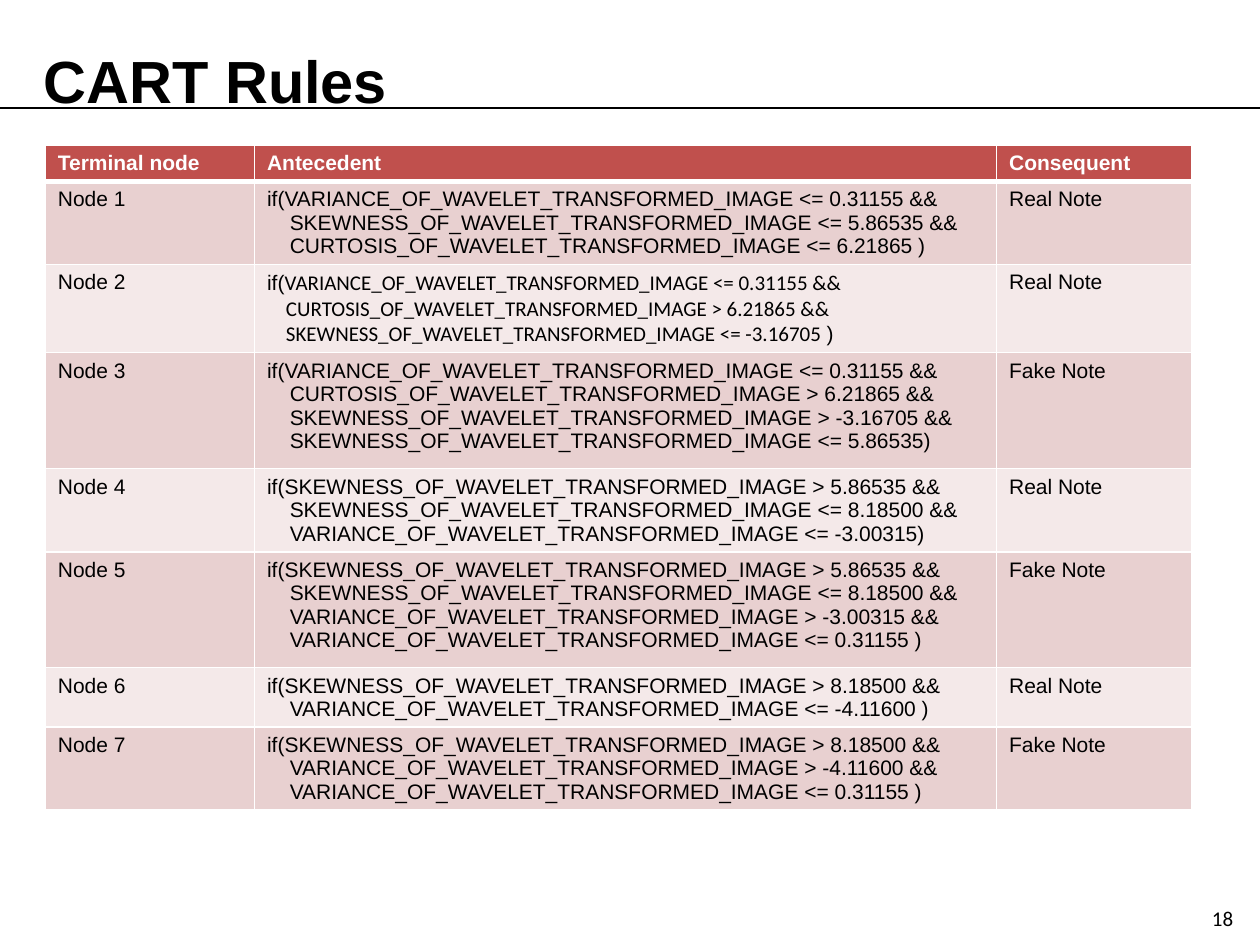
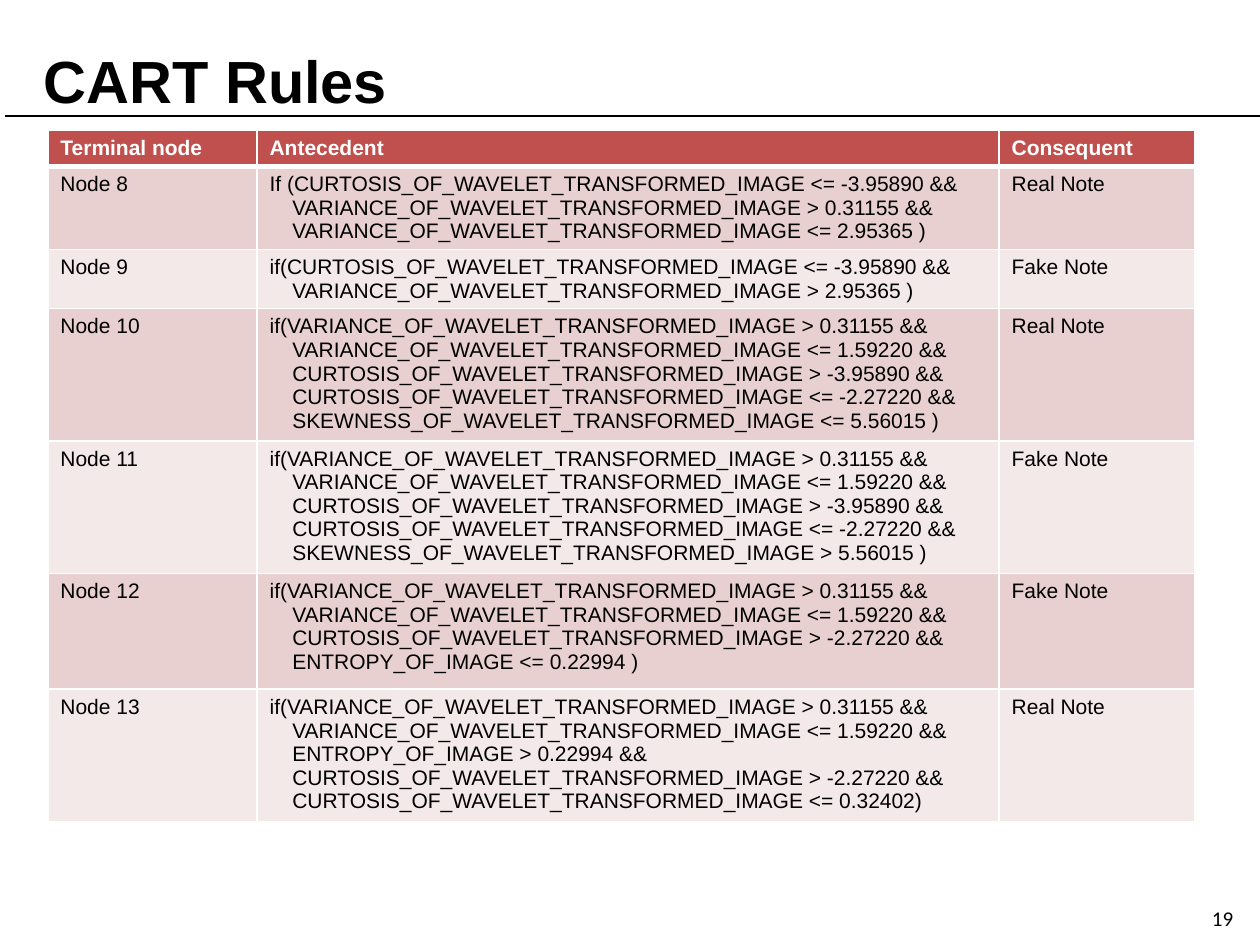
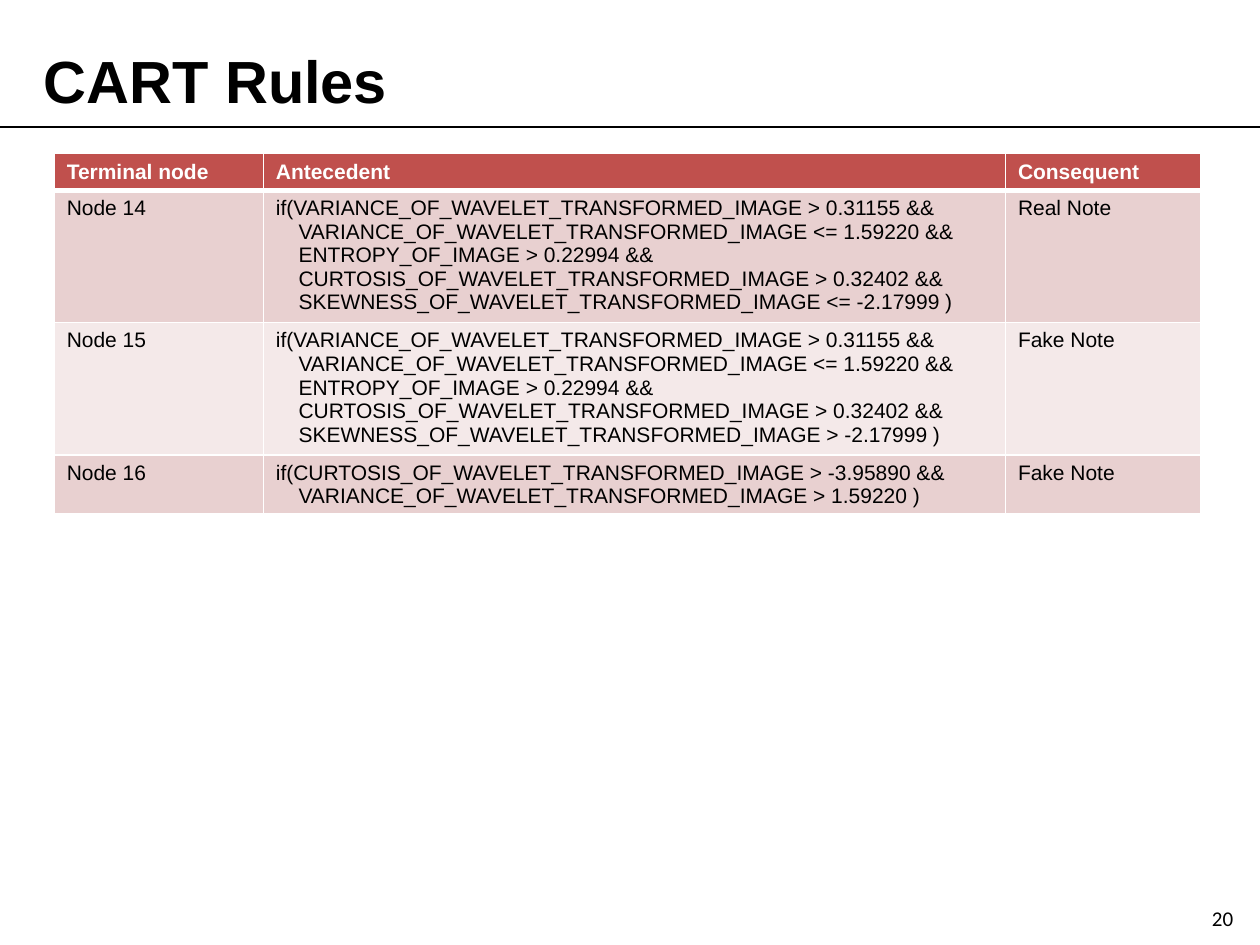
from dataclasses import dataclass

from lxml.etree import SubElement
from pptx import Presentation
from pptx.dml.color import RGBColor
from pptx.enum.shapes import MSO_CONNECTOR
from pptx.oxml.ns import qn
from pptx.util import Inches, Pt

BLACK = RGBColor(0x00, 0x00, 0x00)
WHITE = RGBColor(0xFF, 0xFF, 0xFF)
HEADER_RED = RGBColor(0xC0, 0x50, 0x4D)
BAND_FILLS = (RGBColor(0xE8, 0xD0, 0xD0), RGBColor(0xF4, 0xE9, 0xE9))

HEADINGS = ("Terminal node", "Antecedent", "Consequent")
COLUMN_WIDTHS = (1.66, 5.89, 1.55)
HEADER_HEIGHT = 0.29
ROW_HEIGHTS = {
    ("Arial", 2): 0.47,
    ("Arial", 3): 0.66,
    ("Arial", 4): 0.92,
    ("Arial", 5): 1.03,
    ("Calibri", 3): 0.7,
}
CONDITION_INDENTS = {"Arial": 0.18, "Calibri": 0.15}
TITLE_BOX = (0.25, 0.3, 8.67, 1.25)
NUMBER_BOX = (9.52, 7.14, 0.4, 0.24)


@dataclass
class Rule:
    """One terminal node with its conditions and the resulting class."""
    node: int
    consequent: str
    conditions: tuple
    font: str = "Arial"


@dataclass
class RulePage:
    """One slide of rules with the places of its table and title line."""
    number: int
    table_left: float
    table_top: float
    line_left: float
    line_top: float
    rules: tuple


PAGES = (
    RulePage(18, 0.36, 1.15, 0, 0.86, (
        Rule(1, "Real", (
            "if(VARIANCE_OF_WAVELET_TRANSFORMED_IMAGE <= 0.31155 &&",
            "SKEWNESS_OF_WAVELET_TRANSFORMED_IMAGE <= 5.86535 &&",
            "CURTOSIS_OF_WAVELET_TRANSFORMED_IMAGE <= 6.21865 )")),
        Rule(2, "Real", (
            "if(VARIANCE_OF_WAVELET_TRANSFORMED_IMAGE <= 0.31155 &&",
            "CURTOSIS_OF_WAVELET_TRANSFORMED_IMAGE > 6.21865 &&",
            "SKEWNESS_OF_WAVELET_TRANSFORMED_IMAGE <= -3.16705 )"), "Calibri"),
        Rule(3, "Fake", (
            "if(VARIANCE_OF_WAVELET_TRANSFORMED_IMAGE <= 0.31155 &&",
            "CURTOSIS_OF_WAVELET_TRANSFORMED_IMAGE > 6.21865 &&",
            "SKEWNESS_OF_WAVELET_TRANSFORMED_IMAGE > -3.16705 &&",
            "SKEWNESS_OF_WAVELET_TRANSFORMED_IMAGE <= 5.86535)")),
        Rule(4, "Real", (
            "if(SKEWNESS_OF_WAVELET_TRANSFORMED_IMAGE > 5.86535 &&",
            "SKEWNESS_OF_WAVELET_TRANSFORMED_IMAGE <= 8.18500 &&",
            "VARIANCE_OF_WAVELET_TRANSFORMED_IMAGE <= -3.00315)")),
        Rule(5, "Fake", (
            "if(SKEWNESS_OF_WAVELET_TRANSFORMED_IMAGE > 5.86535 &&",
            "SKEWNESS_OF_WAVELET_TRANSFORMED_IMAGE <= 8.18500 &&",
            "VARIANCE_OF_WAVELET_TRANSFORMED_IMAGE > -3.00315 &&",
            "VARIANCE_OF_WAVELET_TRANSFORMED_IMAGE <= 0.31155 )")),
        Rule(6, "Real", (
            "if(SKEWNESS_OF_WAVELET_TRANSFORMED_IMAGE > 8.18500 &&",
            "VARIANCE_OF_WAVELET_TRANSFORMED_IMAGE <= -4.11600 )")),
        Rule(7, "Fake", (
            "if(SKEWNESS_OF_WAVELET_TRANSFORMED_IMAGE > 8.18500 &&",
            "VARIANCE_OF_WAVELET_TRANSFORMED_IMAGE > -4.11600 &&",
            "VARIANCE_OF_WAVELET_TRANSFORMED_IMAGE <= 0.31155 )")),
    )),
    RulePage(19, 0.38, 1.03, 0.04, 0.92, (
        Rule(8, "Real", (
            "If (CURTOSIS_OF_WAVELET_TRANSFORMED_IMAGE <= -3.95890 &&",
            "VARIANCE_OF_WAVELET_TRANSFORMED_IMAGE > 0.31155 &&",
            "VARIANCE_OF_WAVELET_TRANSFORMED_IMAGE <= 2.95365 )")),
        Rule(9, "Fake", (
            "if(CURTOSIS_OF_WAVELET_TRANSFORMED_IMAGE <= -3.95890 &&",
            "VARIANCE_OF_WAVELET_TRANSFORMED_IMAGE > 2.95365 )")),
        Rule(10, "Real", (
            "if(VARIANCE_OF_WAVELET_TRANSFORMED_IMAGE > 0.31155 &&",
            "VARIANCE_OF_WAVELET_TRANSFORMED_IMAGE <= 1.59220 &&",
            "CURTOSIS_OF_WAVELET_TRANSFORMED_IMAGE > -3.95890 &&",
            "CURTOSIS_OF_WAVELET_TRANSFORMED_IMAGE <= -2.27220 &&",
            "SKEWNESS_OF_WAVELET_TRANSFORMED_IMAGE <= 5.56015 )")),
        Rule(11, "Fake", (
            "if(VARIANCE_OF_WAVELET_TRANSFORMED_IMAGE > 0.31155 &&",
            "VARIANCE_OF_WAVELET_TRANSFORMED_IMAGE <= 1.59220 &&",
            "CURTOSIS_OF_WAVELET_TRANSFORMED_IMAGE > -3.95890 &&",
            "CURTOSIS_OF_WAVELET_TRANSFORMED_IMAGE <= -2.27220 &&",
            "SKEWNESS_OF_WAVELET_TRANSFORMED_IMAGE > 5.56015 )")),
        Rule(12, "Fake", (
            "if(VARIANCE_OF_WAVELET_TRANSFORMED_IMAGE > 0.31155 &&",
            "VARIANCE_OF_WAVELET_TRANSFORMED_IMAGE <= 1.59220 &&",
            "CURTOSIS_OF_WAVELET_TRANSFORMED_IMAGE > -2.27220 &&",
            "ENTROPY_OF_IMAGE <= 0.22994 )")),
        Rule(13, "Real", (
            "if(VARIANCE_OF_WAVELET_TRANSFORMED_IMAGE > 0.31155 &&",
            "VARIANCE_OF_WAVELET_TRANSFORMED_IMAGE <= 1.59220 &&",
            "ENTROPY_OF_IMAGE > 0.22994 &&",
            "CURTOSIS_OF_WAVELET_TRANSFORMED_IMAGE > -2.27220 &&",
            "CURTOSIS_OF_WAVELET_TRANSFORMED_IMAGE <= 0.32402)")),
    )),
    RulePage(20, 0.43, 1.22, 0, 1.01, (
        Rule(14, "Real", (
            "if(VARIANCE_OF_WAVELET_TRANSFORMED_IMAGE > 0.31155 &&",
            "VARIANCE_OF_WAVELET_TRANSFORMED_IMAGE <= 1.59220 &&",
            "ENTROPY_OF_IMAGE > 0.22994 &&",
            "CURTOSIS_OF_WAVELET_TRANSFORMED_IMAGE > 0.32402 &&",
            "SKEWNESS_OF_WAVELET_TRANSFORMED_IMAGE <= -2.17999 )")),
        Rule(15, "Fake", (
            "if(VARIANCE_OF_WAVELET_TRANSFORMED_IMAGE > 0.31155 &&",
            "VARIANCE_OF_WAVELET_TRANSFORMED_IMAGE <= 1.59220 &&",
            "ENTROPY_OF_IMAGE > 0.22994 &&",
            "CURTOSIS_OF_WAVELET_TRANSFORMED_IMAGE > 0.32402 &&",
            "SKEWNESS_OF_WAVELET_TRANSFORMED_IMAGE > -2.17999 )")),
        Rule(16, "Fake", (
            "if(CURTOSIS_OF_WAVELET_TRANSFORMED_IMAGE > -3.95890 &&",
            "VARIANCE_OF_WAVELET_TRANSFORMED_IMAGE > 1.59220 )")),
    )),
)


def write(paragraph, text, font="Arial", size=12, color=BLACK, bold=False):
    """Add one formatted run to a paragraph."""
    run = paragraph.add_run()
    run.text = text
    run.font.name = font
    run.font.size = Pt(size)
    run.font.color.rgb = color
    run.font.bold = bold


def add_text(slide, box, text, **text_format):
    """Add a text box holding one formatted paragraph."""
    frame = slide.shapes.add_textbox(*map(Inches, box)).text_frame
    frame.word_wrap = True
    write(frame.paragraphs[0], text, **text_format)


def add_title_line(slide, left, top, width=10):
    """Draw the horizontal line under the title."""
    line = slide.shapes.add_connector(
        MSO_CONNECTOR.STRAIGHT, Inches(left), Inches(top), Inches(left + width), Inches(top))
    line.line.color.rgb = BLACK
    line.line.width = Pt(1)
    SubElement(line._element.spPr, qn("a:effectLst"))


def style_cell(cell, fill, top=1, bottom=1):
    """Give a cell white borders, a solid fill and no bottom margin."""
    properties = cell._tc.get_or_add_tcPr()
    for side, width in (("L", 1), ("R", 1), ("T", top), ("B", bottom)):
        border = SubElement(properties, qn(f"a:ln{side}"), w=str(Pt(width)))
        solid = SubElement(border, qn("a:solidFill"))
        SubElement(solid, qn("a:srgbClr"), val=str(WHITE))
    cell.fill.solid()
    cell.fill.fore_color.rgb = fill
    cell.margin_bottom = 0


def write_conditions(frame, rule):
    """Write one condition per paragraph, indenting all but the first."""
    for index, condition in enumerate(rule.conditions):
        paragraph = frame.add_paragraph() if index else frame.paragraphs[0]
        if index:
            indent = Inches(CONDITION_INDENTS[rule.font])
            paragraph._p.get_or_add_pPr().set("marL", str(indent))
        if rule.font == "Arial":
            write(paragraph, condition)
            continue
        body = condition.removeprefix("if(").removesuffix(")")
        if condition.startswith("if("):
            write(paragraph, "if(")
        write(paragraph, body, font=rule.font)
        if condition.endswith(")"):
            write(paragraph, ")")


def add_rule_table(slide, left, top, rules):
    """Add the table of rules with its header and banded rows."""
    heights = [HEADER_HEIGHT]
    heights += [ROW_HEIGHTS[rule.font, len(rule.conditions)] for rule in rules]
    frame = slide.shapes.add_table(
        len(heights), len(HEADINGS), Inches(left), Inches(top),
        Inches(sum(COLUMN_WIDTHS)), Inches(sum(heights)))
    table = frame.table
    for column, width in zip(table.columns, COLUMN_WIDTHS):
        column.width = Inches(width)
    for row, height in zip(table.rows, heights):
        row.height = Inches(height)
    for cell, heading in zip(table.rows[0].cells, HEADINGS):
        style_cell(cell, HEADER_RED, bottom=3)
        write(cell.text_frame.paragraphs[0], heading, color=WHITE, bold=True)
    for index, rule in enumerate(rules):
        cells = list(table.rows[index + 1].cells)
        for cell in cells:
            style_cell(cell, BAND_FILLS[index % 2], top=1 if index else 3)
        node, antecedent, consequent = (cell.text_frame for cell in cells)
        write(node.paragraphs[0], f"Node {rule.node}")
        write_conditions(antecedent, rule)
        write(consequent.paragraphs[0], f"{rule.consequent} Note")


def add_rule_slide(presentation, page):
    """Add one slide of rules."""
    slide = presentation.slides.add_slide(presentation.slide_layouts[6])
    add_text(slide, NUMBER_BOX, str(page.number), font="Calibri")
    add_text(slide, TITLE_BOX, "CART Rules", size=34, bold=True)
    add_rule_table(slide, page.table_left, page.table_top, page.rules)
    add_title_line(slide, page.line_left, page.line_top)


def main():
    """Build and save the presentation."""
    presentation = Presentation()
    presentation.slide_width = Inches(10)
    presentation.slide_height = Inches(7.5)
    for page in PAGES:
        add_rule_slide(presentation, page)
    presentation.save("out.pptx")


if __name__ == "__main__":
    main()
